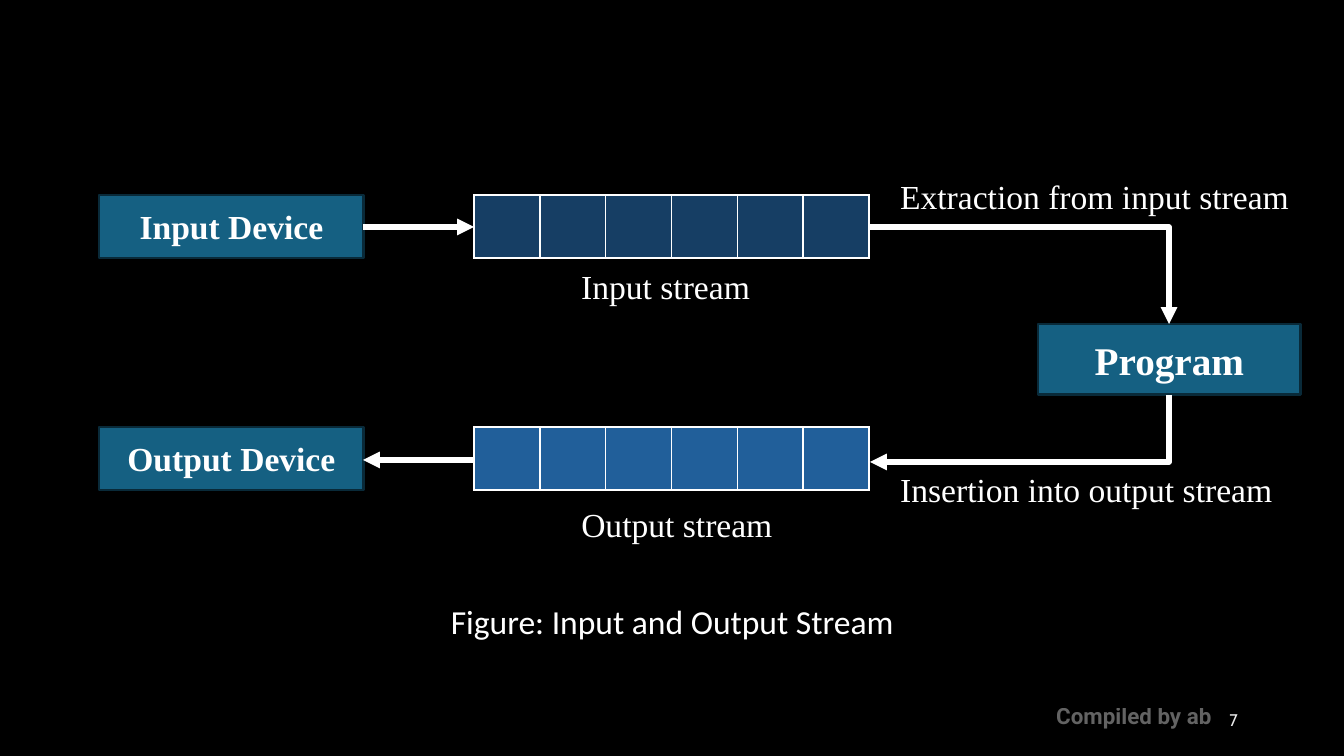
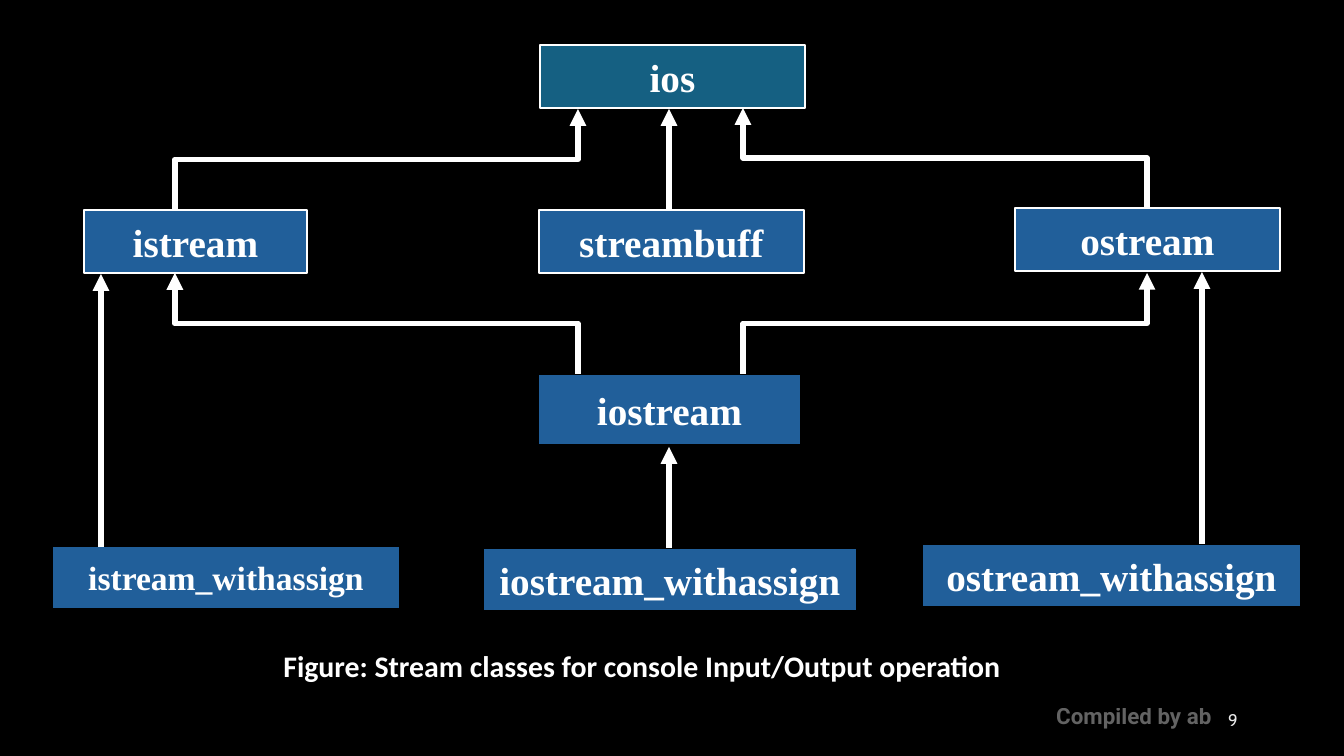
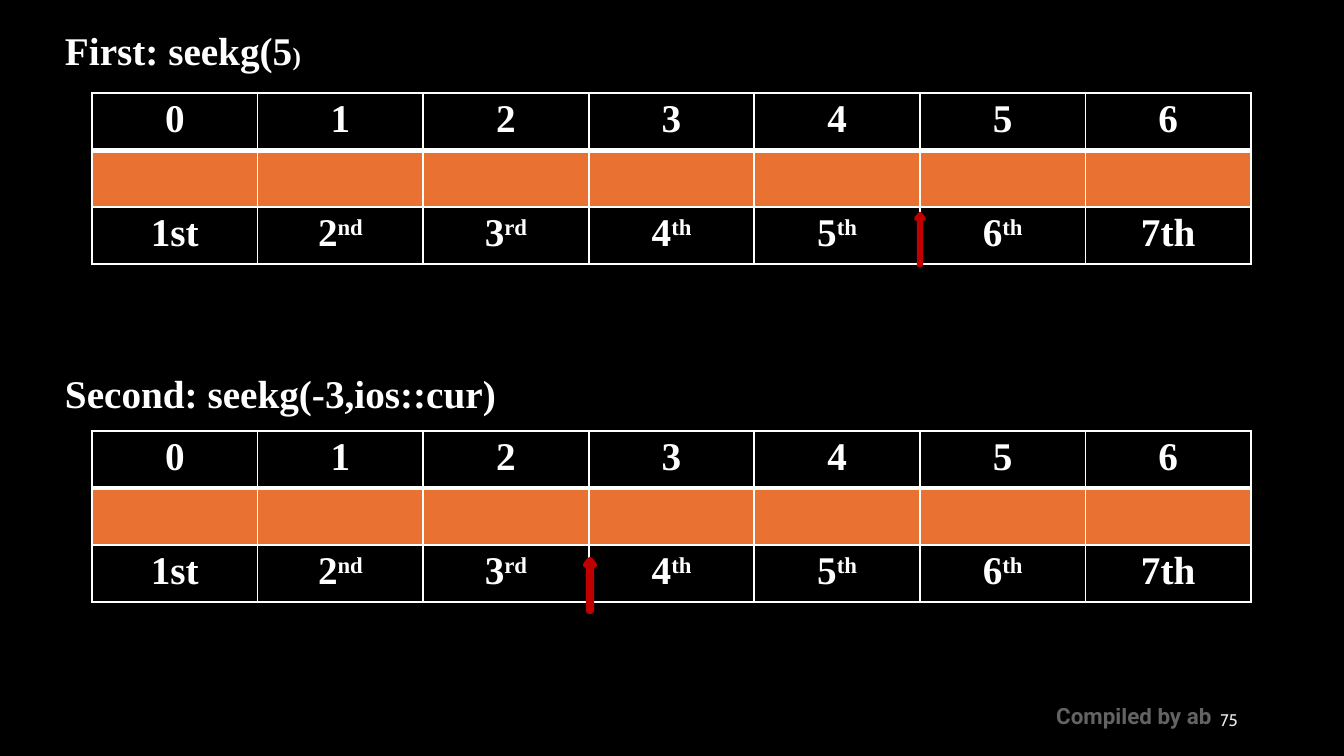
from lxml.etree import SubElement
from pptx import Presentation
from pptx.dml.color import RGBColor
from pptx.enum.shapes import MSO_CONNECTOR, MSO_SHAPE
from pptx.enum.text import MSO_ANCHOR, PP_ALIGN
from pptx.oxml.ns import qn
from pptx.util import Pt

PX = 914400 / 134.4
BLACK = RGBColor(0x00, 0x00, 0x00)
WHITE = RGBColor(0xFF, 0xFF, 0xFF)
PALE_GREY = RGBColor(0xEA, 0xEA, 0xEA)
TEAL = RGBColor(0x15, 0x60, 0x82)
DARK_TEAL = RGBColor(0x09, 0x2A, 0x39)
NAVY = RGBColor(0x16, 0x3E, 0x64)
BLUE = RGBColor(0x21, 0x5F, 0x9A)
STEEL = RGBColor(0x49, 0x7D, 0xBA)
ORANGE = RGBColor(0xE9, 0x71, 0x32)
RED = RGBColor(0xC0, 0x00, 0x00)
SERIF = "Times New Roman"


def add_text(slide, text, box, size, font=SERIF, bold=False, align=PP_ALIGN.LEFT,
             color=WHITE, fill=None, line=None, line_width=0.75):
    """Add a text box, or a filled and outlined rectangle when a fill is given."""
    bounds = [round(value * PX) for value in box]
    if fill is None:
        shape = slide.shapes.add_textbox(*bounds)
    else:
        shape = slide.shapes.add_shape(MSO_SHAPE.RECTANGLE, *bounds)
        shape.shadow.inherit = False
        shape.fill.solid()
        shape.fill.fore_color.rgb = fill
        shape.line.color.rgb = line
        shape.line.width = Pt(line_width)
    frame = shape.text_frame
    frame.word_wrap = True
    if fill is not None:
        frame.vertical_anchor = MSO_ANCHOR.MIDDLE
        frame.margin_left = frame.margin_right = round(9 * PX)
        frame.margin_top = frame.margin_bottom = round(5 * PX)
    paragraph = frame.paragraphs[0]
    paragraph.add_run().text = text
    paragraph.alignment = align
    paragraph.font.size = Pt(size)
    paragraph.font.name = font
    paragraph.font.bold = bold
    paragraph.font.color.rgb = color
    return shape


def add_arrow(slide, start, end, preset="line", turned=False):
    """Add a white arrow; a turned elbow leaves its start vertically."""
    (x1, y1), (x2, y2) = start, end
    if turned:
        # The stored frame is the visible one turned back by 90 degrees.
        center_x, center_y = (x1 + x2) / 2, (y1 + y2) / 2
        half_width, half_height = (y2 - y1) / 2, (x1 - x2) / 2
        x1, x2 = center_x - half_width, center_x + half_width
        y1, y2 = center_y - half_height, center_y + half_height
    kind = MSO_CONNECTOR.STRAIGHT if preset == "line" else MSO_CONNECTOR.ELBOW
    arrow = slide.shapes.add_connector(kind, *(round(value * PX) for value in (x1, y1, x2, y2)))
    arrow.line.color.rgb = WHITE
    arrow.line.width = Pt(3)
    properties = arrow._element.spPr
    properties.find(qn("a:prstGeom")).set("prst", preset)
    if turned:
        properties.find(qn("a:xfrm")).set("rot", "5400000")
    SubElement(properties.find(qn("a:ln")), qn("a:tailEnd"), type="triangle")
    SubElement(properties, qn("a:effectLst"))


presentation = Presentation()
presentation.slide_width = round(1344 * PX)
presentation.slide_height = round(756 * PX)

# Background, footer and slide number
slides = []
for number in (7, 9, 75):
    slide = presentation.slides.add_slide(presentation.slide_layouts[6])
    slide.background.fill.solid()
    slide.background.fill.fore_color.rgb = BLACK
    footer = add_text(slide, "Compiled by ab", (1043, 696, 191, 40), 12, "Roboto", True)
    footer_color = footer._element.xpath(".//a:srgbClr")[0]
    SubElement(footer_color, qn("a:alpha"), val="38000")
    page = add_text(slide, str(number), (949, 700, 302, 40), 9, "Cabin",
                    align=PP_ALIGN.RIGHT, color=PALE_GREY)
    page.text_frame.vertical_anchor = MSO_ANCHOR.MIDDLE
    slides.append(slide)
stream_slide, class_slide, seek_slide = slides

# Tables: each row is a fill and its cells, each cell a text and a superscript
ordinals = [("1st", ""), ("2", "nd"), ("3", "rd"), ("4", "th"),
            ("5", "th"), ("6", "th"), ("7th", "")]
positions = [(str(index), "") for index in range(7)]
seek_rows = [(None, positions), (ORANGE, [("", "")] * 7), (None, ordinals)]
tables = [
    (stream_slide, (474, 195, 395, 63), [(NAVY, [("", "")] * 6)]),
    (stream_slide, (474, 427, 395, 63), [(BLUE, [("", "")] * 6)]),
    (seek_slide, (92, 93, 1159, 171), seek_rows),
    (seek_slide, (92, 431, 1159, 171), seek_rows),
]
for slide, box, rows in tables:
    bounds = [round(value * PX) for value in box]
    table = slide.shapes.add_table(len(rows), len(rows[0][1]), *bounds).table
    table.first_row = table.horz_banding = False
    for row_index, (fill, cells) in enumerate(rows):
        for column_index, (text, superscript) in enumerate(cells):
            cell = table.cell(row_index, column_index)
            cell_properties = cell._tc.get_or_add_tcPr()
            for side in ("lnL", "lnR", "lnT", "lnB"):
                heavy = len(rows) > 1 and (row_index, side) in ((0, "lnB"), (1, "lnT"))
                border = SubElement(cell_properties, qn(f"a:{side}"), w=str(Pt(3 if heavy else 1)))
                border_fill = SubElement(border, qn("a:solidFill"))
                SubElement(border_fill, qn("a:srgbClr"), val=str(WHITE))
            if fill is None:
                cell.fill.background()
            else:
                cell.fill.solid()
                cell.fill.fore_color.rgb = fill
            if not text:
                continue
            cell.margin_left = cell.margin_right = round(9 * PX)
            cell.margin_top = cell.margin_bottom = round(5 * PX)
            paragraph = cell.text_frame.paragraphs[0]
            paragraph.alignment = PP_ALIGN.CENTER
            paragraph.font.size = Pt(21)
            paragraph.font.name = SERIF
            paragraph.font.bold = True
            paragraph.font.color.rgb = WHITE
            paragraph.add_run().text = text
            if superscript:
                run = paragraph.add_run()
                run.text = superscript
                run.font._element.set("baseline", "30000")

# Slide 1: input and output stream
for text, box, size in [
    ("Input Device", (99, 195, 265, 63), 18),
    ("Output Device", (99, 427, 265, 63), 18),
    ("Program", (1038, 324, 263, 71), 21),
]:
    add_text(stream_slide, text, box, size, bold=True, align=PP_ALIGN.CENTER,
             fill=TEAL, line=DARK_TEAL, line_width=1.5)

add_arrow(stream_slide, (363, 227), (474, 227))
add_arrow(stream_slide, (474, 460), (363, 460))
add_arrow(stream_slide, (870, 227), (1169, 324), "bentConnector2")
add_arrow(stream_slide, (1169, 395), (870, 462), "bentConnector2", turned=True)

for text, box, align in [
    ("Input stream", (568, 259, 207, 54), PP_ALIGN.LEFT),
    ("Output stream", (568, 497, 230, 54), PP_ALIGN.LEFT),
    ("Extraction from input stream", (887, 169, 430, 54), PP_ALIGN.JUSTIFY),
    ("Insertion into output stream", (887, 462, 437, 54), PP_ALIGN.JUSTIFY),
]:
    add_text(stream_slide, text, box, 18, align=align)
add_text(stream_slide, "Figure: Input and Output Stream", (419, 594, 507, 54), 18,
         "Calibri", align=PP_ALIGN.CENTER)

# Slide 2: stream classes
for text, box, size, fill, line in [
    ("ios", (540, 45, 265, 63), 21, TEAL, WHITE),
    ("istream", (84, 210, 223, 63), 21, BLUE, WHITE),
    ("streambuff", (539, 210, 265, 63), 21, BLUE, WHITE),
    ("ostream", (1015, 208, 265, 63), 21, BLUE, WHITE),
    ("iostream", (538, 374, 263, 71), 21, BLUE, BLACK),
    ("istream_withassign", (52, 546, 348, 63), 18, BLUE, BLACK),
    ("iostream_withassign", (483, 548, 374, 63), 21, BLUE, BLACK),
    ("ostream_withassign", (922, 544, 379, 63), 21, BLUE, BLACK),
]:
    add_text(class_slide, text, box, size, bold=True, align=PP_ALIGN.CENTER, fill=fill, line=line)

for start, end in [
    ((175, 210), (578, 109)),
    ((1147, 208), (743, 108)),
    ((578, 374), (175, 273)),
    ((743, 374), (1147, 273)),
]:
    add_arrow(class_slide, start, end, "bentConnector3", turned=True)
for x, bottom, top in [(669, 210, 109), (669, 548, 447), (101, 547, 274), (1202, 544, 272)]:
    add_arrow(class_slide, (x, bottom), (x, top))

caption = add_text(class_slide, "Figure: Stream classes for console Input/Output operation",
                   (175, 641, 980, 50), 16, "Calibri", True, PP_ALIGN.CENTER)
caption.text_frame.margin_right = round(59 * PX)

# Slide 3: file pointer positions
for text, ending, top, space in [
    ("First: seekg(5", ")", 20, 2),
    ("Second: seekg(-3,ios::cur)", "", 363, 2.8),
]:
    heading = add_text(seek_slide, text, (42, top, 672, 60), 21, bold=True)
    heading.text_frame.margin_left = round(23 * PX)
    paragraph = heading.text_frame.paragraphs[0]
    paragraph.space_before = Pt(space)
    if ending:
        run = paragraph.add_run()
        run.text = ending
        run.font.size = Pt(13.5)

pointer_outline = [(0, 0), (4, 5), (1, 4), (1, 51), (-1, 51), (-1, 4), (-4, 5)]
for tip_x, tip_y, fill, line_width in [(920, 214, STEEL, 2.25), (590, 560, RED, 3.25)]:
    points = [(tip_x + x, tip_y + y) for x, y in pointer_outline]
    builder = seek_slide.shapes.build_freeform(*points[0], scale=PX)
    builder.add_line_segments(points[1:], close=True)
    pointer = builder.convert_to_shape()
    pointer.shadow.inherit = False
    pointer.fill.solid()
    pointer.fill.fore_color.rgb = fill
    pointer.line.color.rgb = RED
    pointer.line.width = Pt(line_width)

presentation.save("out.pptx")
